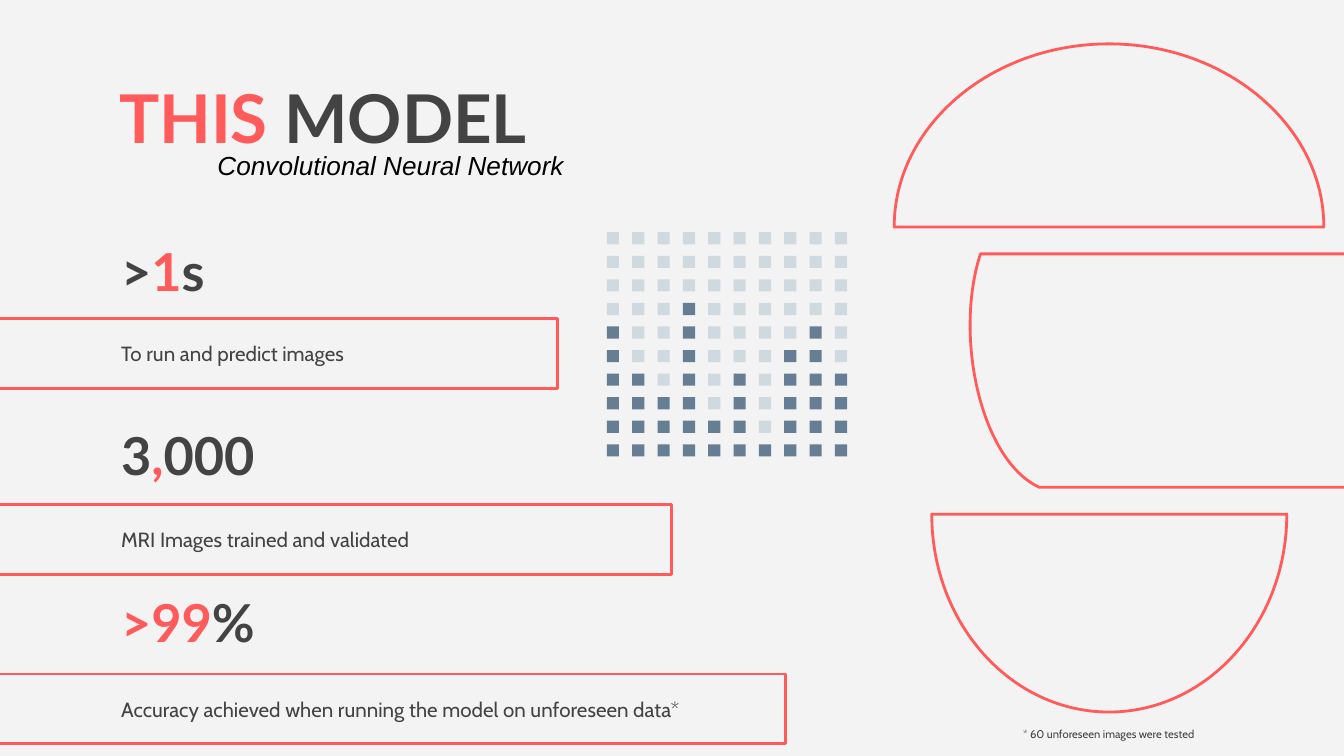
"""Build the slide on the speed, training data and accuracy of the model."""
from pptx import Presentation
from pptx.dml.color import RGBColor
from pptx.enum.shapes import MSO_SHAPE as Shape
from pptx.enum.text import MSO_ANCHOR as Anchor, MSO_AUTO_SIZE as Fit
from pptx.oxml.ns import qn
from pptx.util import Cm, Pt

CORAL, DARK = "FF5B5B", "434343"


def paint(color, code):
    color.rgb = RGBColor.from_string(code)


def write(box, runs, size, face, bold=None, anchor=Anchor.MIDDLE):
    text = slide.shapes.add_textbox(*[Cm(n) for n in box])
    frame = text.text_frame
    frame.word_wrap = True
    frame.vertical_anchor = anchor
    frame.margin_left = frame.margin_right = Cm(0.25)
    frame.margin_top = frame.margin_bottom = Cm(0.25)
    para = frame.paragraphs[0]
    para.font.size, para.font.name, para.font.bold = Pt(size), face, bold
    for words, code in runs:
        run = para.add_run()
        run.text = words
        paint(run.font.color, code)
    return frame


deck = Presentation()
deck.slide_width, deck.slide_height = Cm(25.4), Cm(14.29)
slide = deck.slides.add_slide(deck.slide_layouts[6])
back = slide.background.fill
back.solid()
paint(back.fore_color, "F3F3F3")

dome = [(25.02, 4.29), (16.9, 4.29), (16.9, 2.39), (18.72, 0.83), (20.96, 0.83),
        (23.19, 0.83), (25.02, 2.39), (25.02, 4.29)]
bowl = [(17.61, 9.72), (24.32, 9.72), (24.32, 11.79), (22.81, 13.46), (20.96, 13.46),
        (19.11, 13.46), (17.61, 11.79), (17.61, 9.72)]
band = [(26.64, 4.8), (26.97, 5.51), (27.13, 8), (25.6, 9.21), (19.64, 9.21),
        (18.55, 8.71), (18.02, 6.38), (18.53, 4.8)]
frames = []
for dots, bends in ((dome, (1, 4)), (bowl, (1, 4)), (band, (0, 4))):
    dots = [(Cm(x), Cm(y)) for x, y in dots]
    pen = slide.shapes.build_freeform(*dots[0])
    pen.add_line_segments(dots[1:], close=True)
    form = pen.convert_to_shape()
    lines = list(form.element.iter(qn("a:lnTo")))
    for first in bends:
        curve = lines[first].makeelement(qn("a:cubicBezTo"))
        lines[first].addprevious(curve)
        for line in lines[first:first + 3]:
            curve.append(line[0])
            line.getparent().remove(line)
    frames.append(form)

stats = [
    (4.41, 6.02, 9.75, [(">", DARK), ("1", CORAL), ("s", DARK)], "To run and predict images"),
    (7.89, 9.54, 9.75, [("3", DARK), (",", CORAL), ("000", DARK)],
     "MRI Images trained and validated"),
    (11.05, 12.74, 11.35, [(">99", CORAL), ("%", DARK)],
     "Accuracy achieved when running the model on unforeseen data*"),
]
for row, (high, top, wide, value, label) in enumerate(stats):
    bar = slide.shapes.add_shape(
        Shape.RECTANGLE, Cm(-0.18), Cm(top), Cm(10.72 + 2.15 * row), Cm(1.32))
    frames.append(bar)
    write((2.04, high, 10.67, 1.42), value, 28, "Lato", True)
    write((2.04, top, wide, 1.32), [(label, DARK)], 11, "Cabin")

for item in frames:
    item.shadow.inherit = False
    item.fill.background()
    paint(item.line.color, CORAL)
    item.line.width = Pt(1.5)

write((2, 1.19, 21.44, 1.3), [("THIS", CORAL), (" MODEL", DARK)], 36, "Lato", True, Anchor.TOP)

for col, count in enumerate([6, 4, 3, 7, 2, 4, 1, 5, 6, 4]):
    for row in range(10):
        tile = slide.shapes.add_shape(
            Shape.RECTANGLE, Cm(11.47 + 4.31 * col / 9), Cm(4.39 + 4.01 * row / 9),
            Cm(0.23), Cm(0.23))
        tile.shadow.inherit = False
        tile.fill.solid()
        paint(tile.fill.fore_color, "657E93" if row >= 10 - count else "CFD9E0")
        tile.line.fill.background()

write((19.08, 13.21, 3.78, 1.32), [("* 60 unforeseen images were tested", DARK)], 6, "Cabin")
method = write((3.86, 2.69, 7.09, 0.86), [("Convolutional Neural Network", "000000")],
               14, "Arial", anchor=Anchor.TOP)
method.margin_top = method.margin_bottom = Cm(0.13)
method.word_wrap = False
method.auto_size = Fit.SHAPE_TO_FIT_TEXT
method.paragraphs[0].font.italic = True

deck.save("out.pptx")
